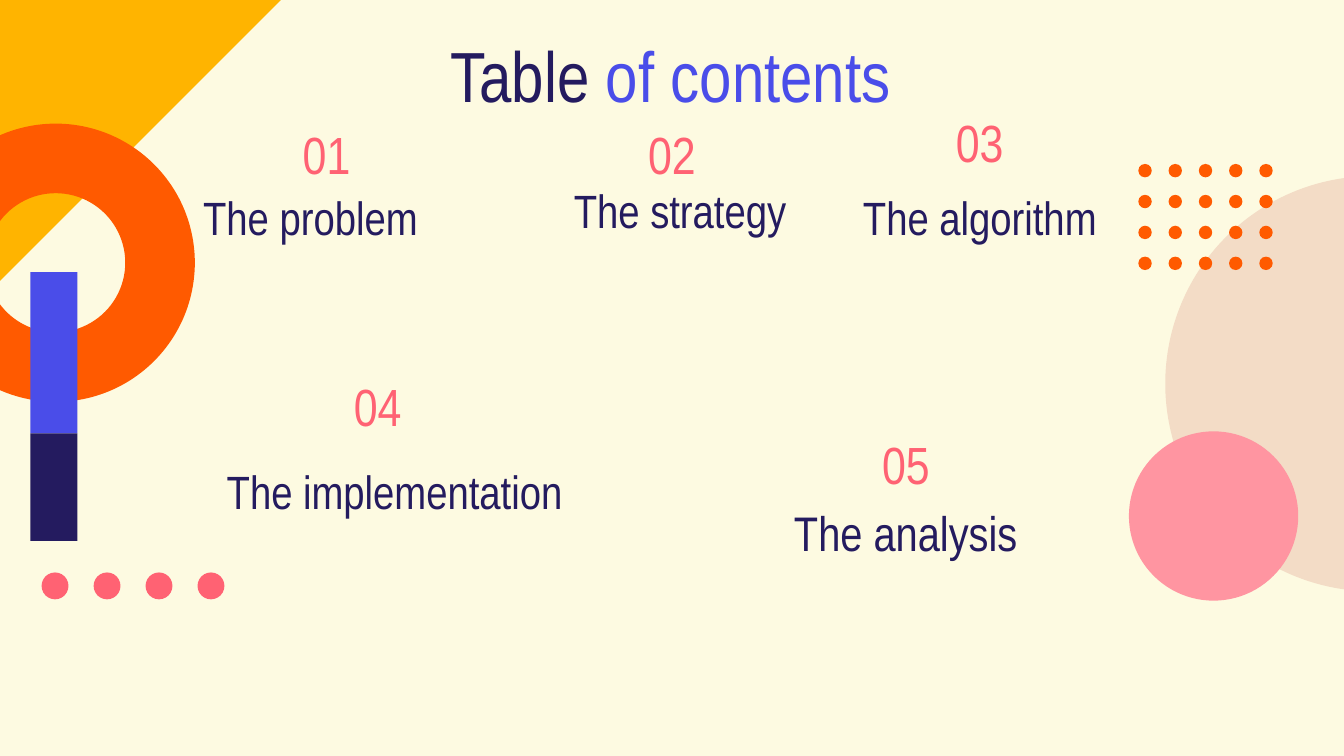
from pptx import Presentation
from pptx.dml.color import RGBColor
from pptx.enum.shapes import MSO_SHAPE
from pptx.enum.text import MSO_ANCHOR, MSO_AUTO_SIZE, PP_ALIGN
from pptx.util import Inches, Pt

TRI, RING, PIE = MSO_SHAPE.RIGHT_TRIANGLE, MSO_SHAPE.DONUT, MSO_SHAPE.PIE
RECT, OVAL = MSO_SHAPE.RECTANGLE, MSO_SHAPE.OVAL
NODE = MSO_SHAPE.FLOWCHART_CONNECTOR
TOP, CENTER, FIXED = MSO_ANCHOR.TOP, PP_ALIGN.CENTER, MSO_AUTO_SIZE.NONE

FONT = "Arial Narrow"
NAVY, BLUE, CORAL = "241B5F", "4A4DE9", "FF6273"
ORANGE, YELLOW, CREAM = "FF5A00", "FFB400", "FDFAE1"
SAND, PINK = "F3DCC6", "FF95A1"


def tint(target, code):
    """Give a fill or a font a solid colour."""
    if hasattr(target, "solid"):
        target.solid()
        target.fore_color.rgb = RGBColor.from_string(code)
    else:
        target.color.rgb = RGBColor.from_string(code)


def draw(home, kind, box, code, turn=0):
    """Add a plain filled shape to a slide or a group."""
    shape = home.shapes.add_shape(kind, *map(Inches, box))
    shape.shadow.inherit = False
    shape.line.fill.background()
    shape.rotation = turn
    tint(shape.fill, code)
    return shape


# Wide slide, 16 by 9
deck = Presentation()
deck.slide_width, deck.slide_height = Inches(10), Inches(10 * 9 / 16)
slide = deck.slides.add_slide(deck.slide_layouts[5])
tint(slide.background.fill, CREAM)

# Corner triangle and ring
draw(slide, TRI, (-0.02, 0, 2.11, 2.11), YELLOW, 90)
ring = draw(slide, RING, (-0.62, 0.92, 2.07, 2.07), ORANGE)
ring.adjustments[0] = 0.25

# Title, numbers and topics: box, then lines of (text, size, colour) runs
title = slide.shapes.title
texts = [
    ((0.78, 0.26, 8.42, 0.78), [[("Table ", 38, NAVY), ("of contents", 38, BLUE)]]),
    ((1.68, 0.91, 1.5, 0.65), [[("01", 28, CORAL)]]),
    ((-0.49, 1.4, 5.6, 0.43), [[("The problem", 25, NAVY)]]),
    ((2.2, 0.91, 5.6, 0.52), [[("02", 28, CORAL)]]),
    ((3.83, 1.35, 2.46, 0.65), [[("The strategy", 25, NAVY)]]),
    ((6.54, 0.82, 1.5, 0.65), [[("03", 28, CORAL)]]),
    ((4.49, 1.4, 5.6, 0.43), [[("The algorithm", 25, NAVY)]]),
    ((0.01, 2.79, 5.6, 0.52), [[("04", 28, CORAL)]]),
    ((0.14, 3.44, 5.59, 0.43), [[("The implementation", 25, NAVY)]]),
    ((3.94, 3.22, 5.6, 1.06), [[("05", 28, CORAL)], [("The analysis", 26, NAVY)]]),
]
frame_format = {"word_wrap": True, "auto_size": FIXED, "vertical_anchor": TOP}
for i, (box, lines) in enumerate(texts):
    place = [Inches(n) for n in box]
    if i == 0:
        item = title
        item.left, item.top, item.width, item.height = place
    else:
        item = slide.shapes.add_textbox(*place)
    frame = item.text_frame
    for name, value in frame_format.items():
        setattr(frame, name, value)
    line_format = {"alignment": CENTER, "line_spacing": 0.9,
                   "space_before": Pt(7.5 if i else 0)}
    for j, line in enumerate(lines):
        para = frame.add_paragraph() if j else frame.paragraphs[0]
        for name, value in line_format.items():
            setattr(para, name, value)
        for words, size, code in line:
            run = para.add_run()
            run.text = words
            run.font.name, run.font.size = FONT, Pt(size)
            tint(run.font, code)

# Half disc at the right edge
disc = draw(slide, PIE, (8.67, 1.31, 3.09, 3.09), SAND, 90)
disc.adjustments[0], disc.adjustments[1] = 0, 108.69

# Grid of orange dots
grid = slide.shapes.add_group_shape()
for row in range(4):
    for col in range(5):
        draw(grid, NODE, (8.47 + 0.9 * col / 4, 1.22 + 0.23 * row, 0.1, 0.1), ORANGE)

# Upright bar in two colours
draw(slide, RECT, (-0.2, 2.45, 1.2, 0.35), BLUE, 90)
draw(slide, RECT, (0, 3.45, 0.8, 0.35), NAVY, 90)

# Row of coral dots and the pink disc
dots = slide.shapes.add_group_shape()
for col in range(4):
    draw(dots, OVAL, (0.31 + 1.16 * col / 3, 4.26, 0.2, 0.2), CORAL)
draw(slide, OVAL, (8.4, 3.21, 1.26, 1.26), PINK)

deck.save("out.pptx")
